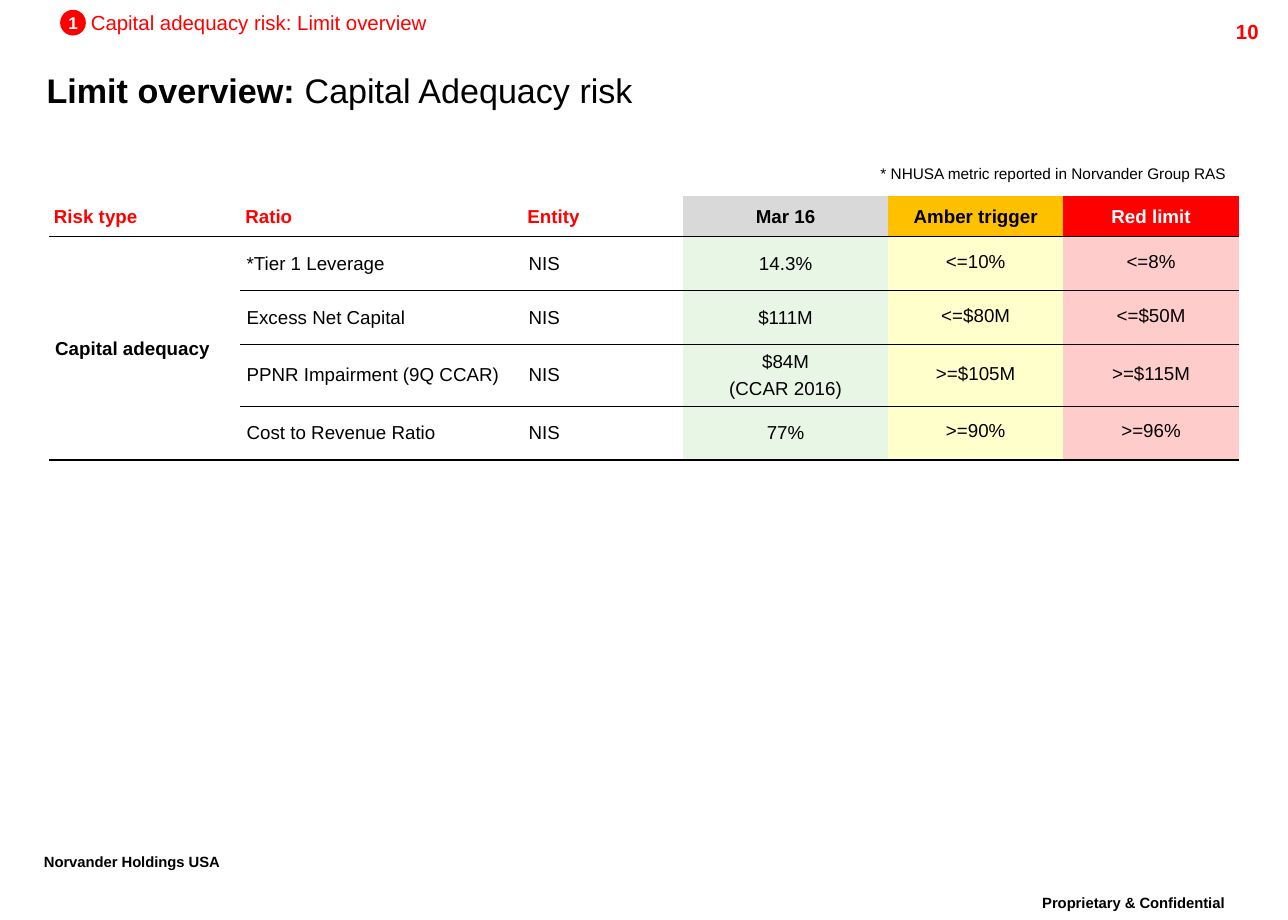
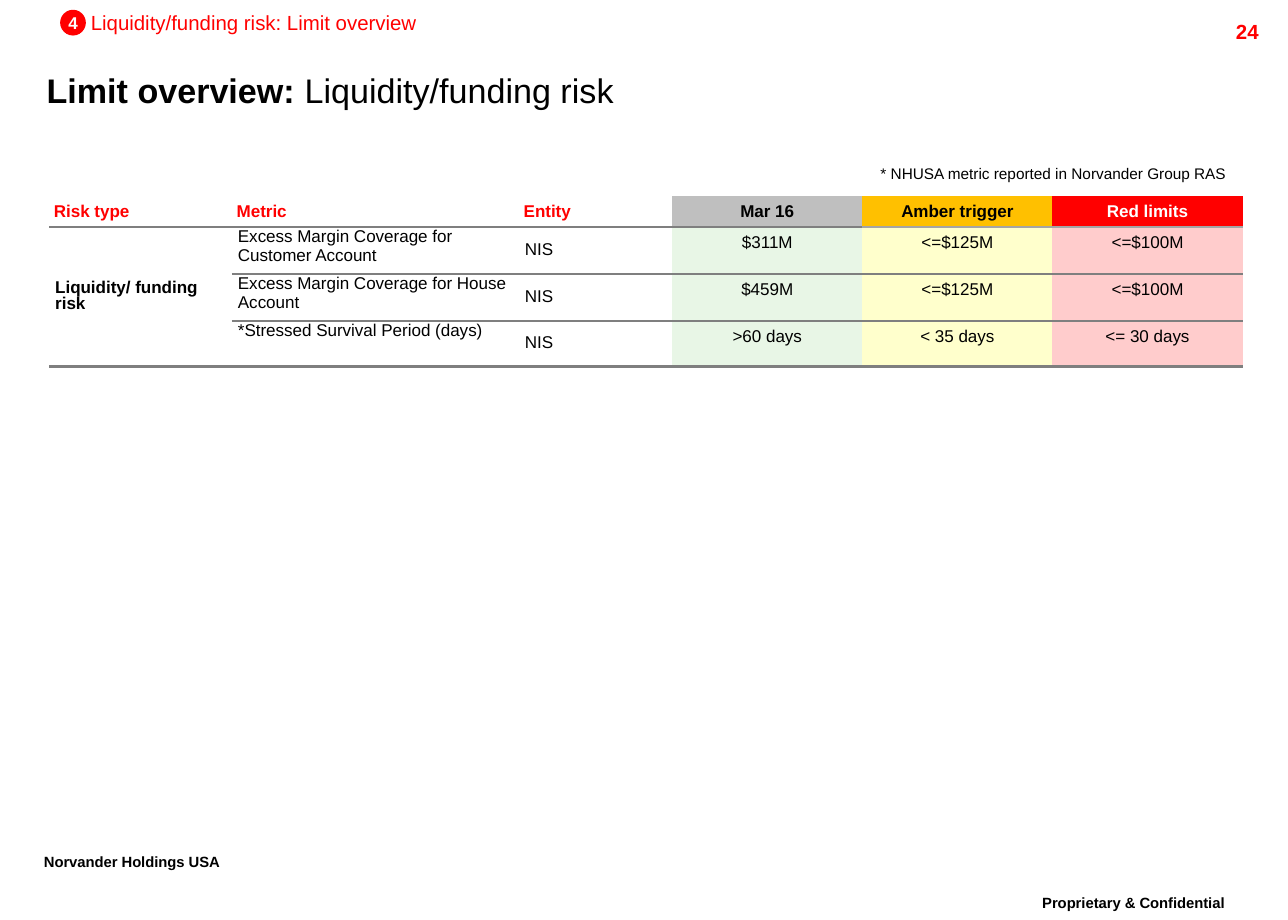
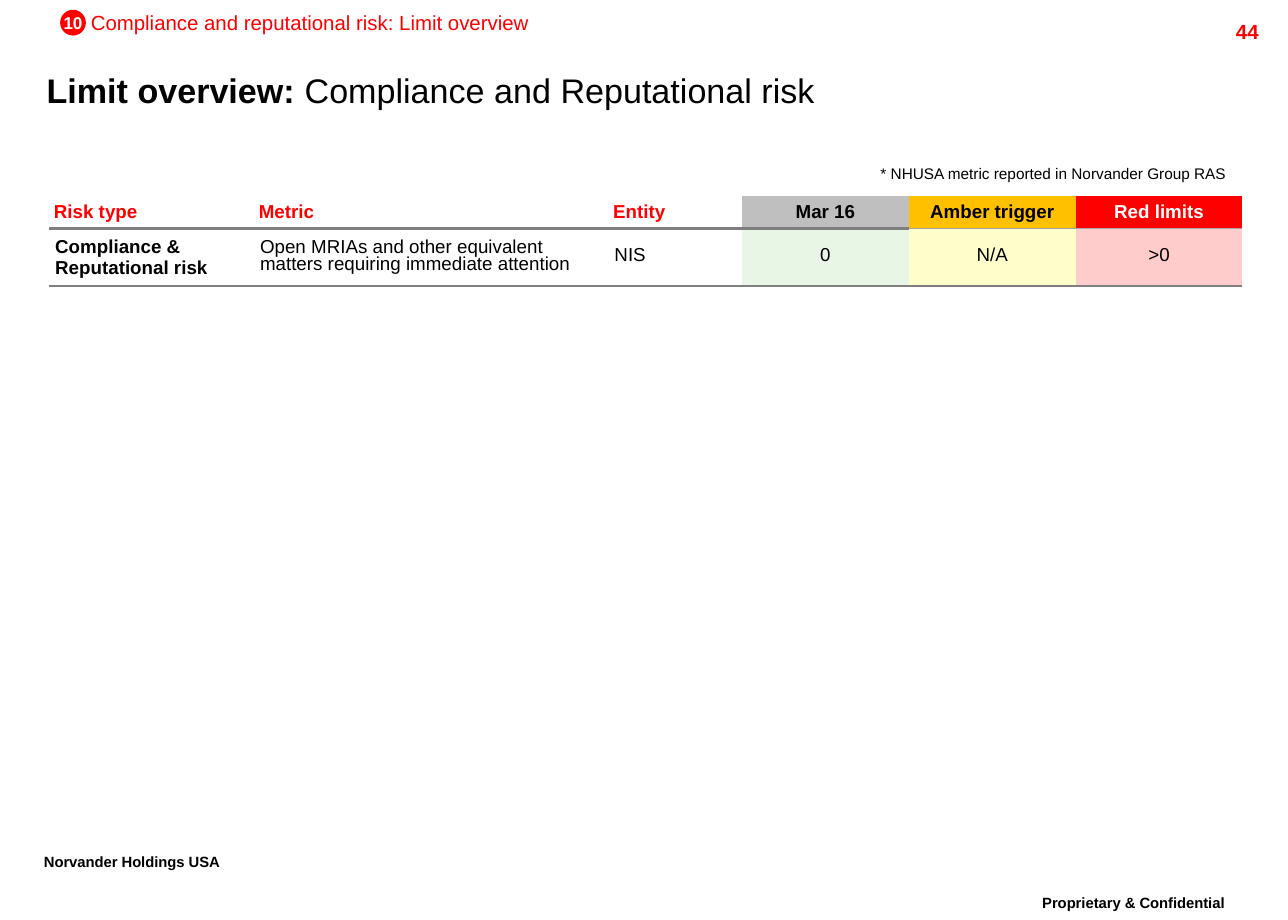
import pptx
import pptx.util
import pptx.dml.color
import pptx.enum.text
import pptx.enum.shapes
import pptx.oxml.ns
import lxml.etree

Pt = pptx.util.Pt
RGB = pptx.dml.color.RGBColor
ALIGN = pptx.enum.text.PP_ALIGN
ANCHOR = pptx.enum.text.MSO_ANCHOR
qn = pptx.oxml.ns.qn

BLACK = RGB(0x00, 0x00, 0x00)
WHITE = RGB(0xFF, 0xFF, 0xFF)
RED = RGB(0xFF, 0x00, 0x00)
AMBER = RGB(0xFF, 0xC0, 0x00)
SILVER = RGB(0xD9, 0xD9, 0xD9)
GREY = RGB(0xBF, 0xBF, 0xBF)
SLATE = RGB(0x7F, 0x7F, 0x7F)
ASH = RGB(0xA5, 0xA5, 0xA5)
MINT = RGB(0xE8, 0xF6, 0xE6)
CREAM = RGB(0xFF, 0xFF, 0xCC)
PINK = RGB(0xFF, 0xCC, 0xCC)

FONT = "Arial"
WIDE, HIGH = pptx.util.Inches(10.5), pptx.util.Inches(7.5)
COLS, ROWS = 105, 75
PLAIN = "{2D5ABB26-0587-4C30-8999-92F81FD0307C}"
LEFT, MID, RIGHT = ALIGN.LEFT, ALIGN.CENTER, ALIGN.RIGHT
TIGHT = Pt(10)
LEAD = 0.86

BLACK_RULE = (BLACK, 1)
SLATE_RULE = (SLATE, 1.5)
ASH_RULE = (ASH, 1)

PAGES = [
    dict(page="10", mark="1", crumb="Capital adequacy risk", name="Capital Adequacy risk",
         grid=dict(
             box=(4, 16, 97, 21.5), cols=[1.56, 2.3, 1.31, 1.67, 1.43, 1.43],
             rows=[3.3, 4.4, 4.4, 5, 4.4], size=11, month=SILVER,
             rule=BLACK_RULE, edge=BLACK_RULE, lead={4: TIGHT, 5: TIGHT}, tops={},
             data=[
                 ["Risk type", "Ratio", "Entity", "Mar 16", "Amber trigger", "Red limit"],
                 ["Capital adequacy", "*Tier 1 Leverage", "NIS", "14.3%", "<=10%", "<=8%"],
                 ["", "Excess Net Capital", "NIS", "$111M", "<=$80M", "<=$50M"],
                 ["", "PPNR Impairment (9Q CCAR)", "NIS", "$84M\n(CCAR 2016)",
                  ">=$105M", ">=$115M"],
                 ["", "Cost to Revenue Ratio", "NIS", "77%", ">=90%", ">=96%"]])),
    dict(page="24", mark="4", crumb="Liquidity/funding risk", name="Liquidity/funding risk",
         grid=dict(
             box=(4, 16, 97.3, 13.7), cols=[1.49, 2.34, 1.25, 1.55, 1.55, 1.55],
             rows=[2.5, 3.7, 3.7, 3.7], size=10, month=GREY,
             rule=SLATE_RULE, edge=ASH_RULE, lead={0: LEAD, 2: TIGHT},
             tops={1: 0, 3: 0.5, 4: 0.5, 5: 0.5},
             data=[
                 ["Risk type", "Metric", "Entity", "Mar 16", "Amber trigger", "Red limits"],
                 ["Liquidity/ funding risk", "Excess Margin Coverage for Customer Account",
                  "NIS", "$311M", "<=$125M", "<=$100M"],
                 ["", "Excess Margin Coverage for House Account",
                  "NIS", "$459M", "<=$125M", "<=$100M"],
                 ["", "*Stressed Survival Period (days)",
                  "NIS", ">60 days", "< 35 days", "<= 30 days"]])),
    dict(page="44", mark="10", crumb="Compliance and reputational risk",
         name="Compliance and Reputational risk",
         grid=dict(
             box=(4, 16, 97.3, 7.3), cols=[1.67, 2.89, 1.09, 1.36, 1.36, 1.36],
             rows=[2.6, 4.7], size=11, month=GREY,
             rule=SLATE_RULE, edge=ASH_RULE, lead={col: TIGHT for col in range(1, 6)}, tops={},
             data=[
                 ["Risk type", "Metric", "Entity", "Mar 16", "Amber trigger", "Red limits"],
                 ["Compliance & Reputational risk",
                  "Open MRIAs and other equivalent matters requiring immediate attention",
                  "NIS", "0", "N/A", ">0"]])),
]


def across(cols):
    """Turn grid columns into a length."""
    return round(WIDE * cols / COLS)


def down(rows):
    """Turn grid rows into a length."""
    return round(HIGH * rows / ROWS)


def place(box):
    """Turn a grid box into left, top, width and height."""
    x, y, w, h = box
    return across(x), down(y), across(w), down(h)


def style(frame, size, ink=BLACK, bold=False, align=LEFT, lead=None):
    """Format all text in a frame."""
    for i, para in enumerate(frame.paragraphs):
        para.alignment = align
        if lead:
            para.line_spacing = lead
        if i:
            para.space_before = Pt(4)
        for run in para.runs:
            font = run.font
            font.name, font.size, font.bold = FONT, Pt(size), bold
            font.color.rgb = ink


def inset(frame, pad=0):
    """Set all four margins of a frame or cell."""
    frame.margin_left = frame.margin_right = across(pad)
    frame.margin_top = frame.margin_bottom = down(pad)


def label(slide, box, text, size, wrap=True, **look):
    """Add a text box and return its frame."""
    frame = slide.shapes.add_textbox(*place(box)).text_frame
    frame.word_wrap = wrap
    frame.text = text
    style(frame, size, **look)
    return frame


def foot(slide, box, text, align):
    """Add a raised footer line."""
    frame = label(slide, box, text, 15, bold=True, align=align, lead=LEAD)
    frame.paragraphs[0].runs[0].font._element.set("baseline", "30000")


def crumb(slide, box, mark, text):
    """Add the numbered disc and section name."""
    x, y, w, h = box
    disc = slide.shapes.add_shape(pptx.enum.shapes.MSO_SHAPE.OVAL, *place((x, y, h, h)))
    disc.shadow.inherit = False
    disc.fill.solid()
    disc.fill.fore_color.rgb = RED
    disc.line.fill.background()
    frame = disc.text_frame
    inset(frame)
    frame.word_wrap = False
    frame.vertical_anchor = ANCHOR.MIDDLE
    frame.text = mark
    style(frame, 10, WHITE, True, MID)
    inset(label(slide, (x + 2.5, y, w - 2.5, h), text, 12, wrap=False, ink=RED))


def head(slide, box, name):
    """Fill the title placeholder."""
    title = slide.shapes.title
    title.left, title.top, title.width, title.height = place(box)
    frame = title.text_frame
    inset(frame)
    frame.auto_size = pptx.enum.text.MSO_AUTO_SIZE.NONE
    frame.vertical_anchor = ANCHOR.MIDDLE
    frame.text = "Limit overview: "
    frame.paragraphs[0].add_run().text = name
    style(frame, 20)
    frame.paragraphs[0].runs[0].font.bold = True


def border(cell, side, rule):
    """Draw one edge of a cell."""
    ink, width = rule
    props = cell._tc.get_or_add_tcPr()
    line = lxml.etree.SubElement(props, qn("a:" + side), w=str(int(Pt(width))))
    fill = lxml.etree.SubElement(line, qn("a:solidFill"))
    lxml.etree.SubElement(fill, qn("a:srgbClr"), val=str(ink))


def limits(slide, box, cols, rows, size, month, rule, edge, lead, tops, data):
    """Add the table of limits."""
    last = len(rows) - 1
    table_shape = slide.shapes.add_table(len(rows), len(cols), *place(box))
    table = table_shape.table
    table.first_row = table.horz_banding = False
    table._tbl.tblPr.find(qn("a:tableStyleId")).text = PLAIN
    for col, share in zip(table.columns, cols):
        col.width = across(box[2] * share / sum(cols))
    for row, tall in zip(table.rows, rows):
        row.height = down(tall)
    if last > 1:
        table.cell(1, 0).merge(table.cell(last, 0))
    inks = [RED, RED, RED, BLACK, BLACK, WHITE]
    fills = [[None] * 3 + [month, AMBER, RED], [None] * 3 + [MINT, CREAM, PINK]]
    for r, line in enumerate(data):
        for c, text in enumerate(line):
            cell = table.cell(r, c)
            top = r == 0
            under = edge if c > 3 else rule
            if r == 1 or (r and c):
                border(cell, "lnT", under if r == 1 else rule)
            if c or r in (0, 1, last):
                border(cell, "lnB", under if top else rule)
            paint = fills[not top][c]
            if paint is None:
                cell.fill.background()
            else:
                cell.fill.solid()
                cell.fill.fore_color.rgb = paint
            inset(cell, 0.4 if top or "\n" in text else 0.5)
            cell.vertical_anchor = ANCHOR.MIDDLE
            if not top and c in tops:
                cell.vertical_anchor = ANCHOR.TOP
                cell.margin_top = down(tops[c])
            if text:
                cell.text_frame.text = text
                style(cell.text_frame, size, inks[c] if top else BLACK, top or c == 0,
                      MID if c > 2 else LEFT,
                      None if top or "\n" in text else lead.get(c))


def build(deck, page, mark, crumb_text, name, grid):
    """Add one limit overview slide."""
    slide = deck.slides.add_slide(deck.slide_layouts[5])
    foot(slide, (81.5, 72.5, 21.8, 3.5), "Proprietary & Confidential", MID)
    foot(slide, (2.6, 69.1, 25, 3.5), "Norvander Holdings USA", LEFT)
    label(slide, (93.6, 1.1, 10, 2.4), page, 12, ink=RED, bold=True, align=RIGHT)
    head(slide, (3.8, 4.9, 94.8, 4.8), name)
    crumb(slide, (4.9, 0.8, 40, 2.1), mark, crumb_text + ": Limit overview")
    limits(slide, **grid)
    label(slide, (70.7, 13.1, 30.3, 2.3), "* NHUSA metric reported in Norvander Group RAS",
          9, wrap=False, align=MID, lead=LEAD)


def main():
    """Build and save the deck."""
    deck = pptx.Presentation()
    deck.slide_width, deck.slide_height = WIDE, HIGH
    for item in PAGES:
        build(deck, item["page"], item["mark"], item["crumb"], item["name"], item["grid"])
    deck.save("out.pptx")


if __name__ == "__main__":
    main()
